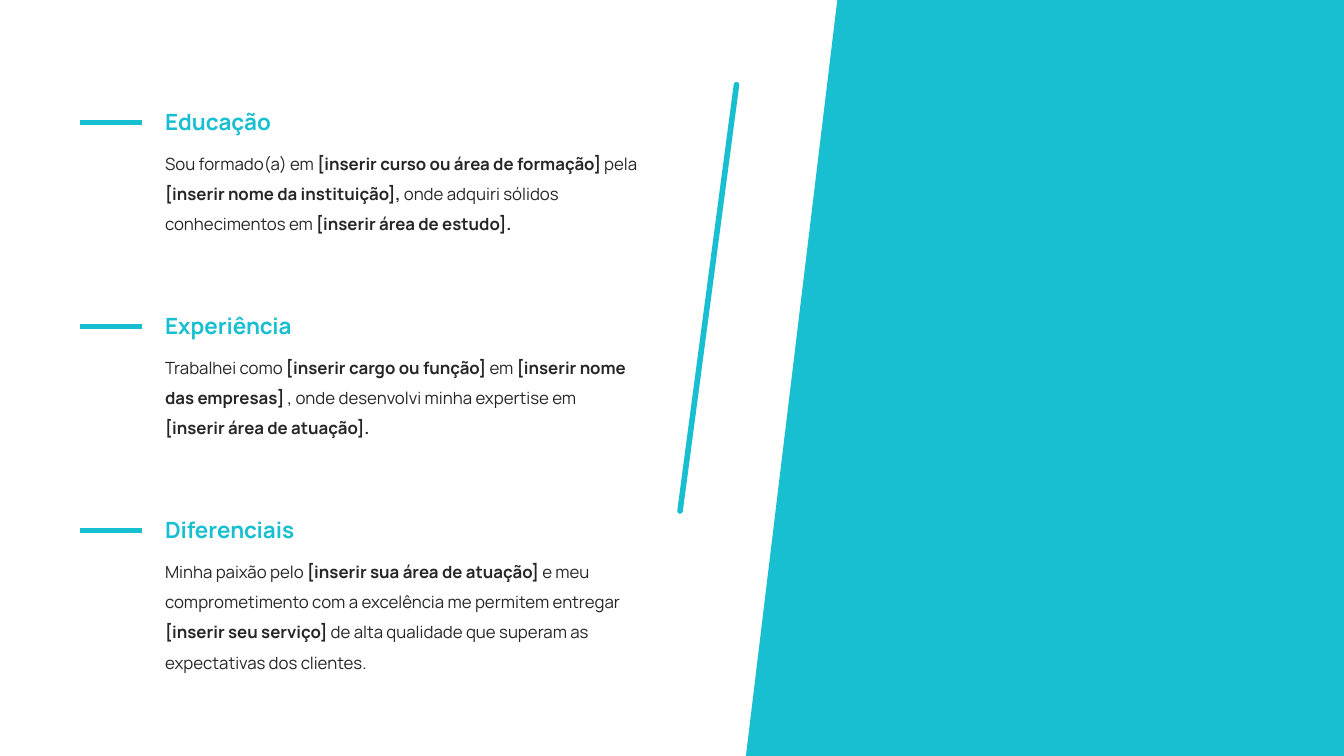
from lxml.etree import SubElement
from pptx import Presentation
from pptx.dml.color import RGBColor
from pptx.enum.shapes import MSO_CONNECTOR
from pptx.enum.text import MSO_ANCHOR, MSO_AUTO_SIZE
from pptx.oxml.ns import qn
from pptx.util import Inches, Pt

COLORS = {"teal": "18BFD1", "ink": "262626", "white": "FFFFFF"}
FORMATS = {
    "heading": {"name": "Manrope", "size": Pt(12), "bold": True},
    "body": {"name": "Manrope", "size": Pt(9), "bold": False},
    "strong": {"name": "Manrope", "size": Pt(9), "bold": True},
}
FRAMES = {
    "heading": {"word_wrap": False, "vertical_anchor": MSO_ANCHOR.MIDDLE,
                "auto_size": MSO_AUTO_SIZE.SHAPE_TO_FIT_TEXT},
    "body": {"word_wrap": True, "vertical_anchor": MSO_ANCHOR.TOP,
             "auto_size": MSO_AUTO_SIZE.SHAPE_TO_FIT_TEXT},
}

presentation = Presentation()
presentation.slide_width = Inches(10)
presentation.slide_height = presentation.slide_width * 9 // 16
slide = presentation.slides.add_slide(presentation.slide_layouts[6])
slide.background.fill.solid()
slide.background.fill.fore_color.rgb = RGBColor.from_string(COLORS["white"])
COLUMN = presentation.slide_width / 100
ROW = presentation.slide_height / 100


def add_text(style, color, column, row, columns, rows, parts):
    shape = slide.shapes.add_textbox(
        int(column * COLUMN), int(row * ROW), int(columns * COLUMN), int(rows * ROW))
    for attribute, value in FRAMES[style].items():
        setattr(shape.text_frame, attribute, value)
    paragraph = shape.text_frame.paragraphs[0]
    for index, part in enumerate(parts):
        run = paragraph.add_run()
        run.text = part
        for attribute, value in FORMATS["strong" if index % 2 else style].items():
            setattr(run.font, attribute, value)
        run.font.color.rgb = RGBColor.from_string(COLORS[color])
    return paragraph


def add_line(column, row, end_column, end_row, cap):
    connector = slide.shapes.add_connector(
        MSO_CONNECTOR.STRAIGHT, int(column * COLUMN), int(row * ROW),
        int(end_column * COLUMN), int(end_row * ROW))
    connector.line.color.rgb = RGBColor.from_string(COLORS["teal"])
    connector.line.width = Pt(3)
    connector.line._get_or_add_ln().set("cap", cap)
    SubElement(connector._element.spPr, qn("a:effectLst"))


for top_column, bottom_column in [(62.5, 55.8), (62.3, 55.5)]:
    builder = slide.shapes.build_freeform(int(top_column * COLUMN), 0)
    builder.add_line_segments([
        (int(column * COLUMN), int(row * ROW))
        for column, row in [(100, 0), (100, 100), (bottom_column, 100)]])
    panel = builder.convert_to_shape()
    panel.shadow.inherit = False
    panel.fill.solid()
    panel.fill.fore_color.rgb = RGBColor.from_string(COLORS["teal"])
    panel.line.fill.background()

sections = [
    ("Educação", 10.6, 38.4, 13.5,
     "Sou formado(a) em |[inserir curso ou área de formação] |pela |"
     "[inserir nome da instituição],| onde adquiri sólidos conhecimentos em|"
     " [inserir área de estudo]."),
    ("Experiência", 12.2, 36.3, 13.5,
     "Trabalhei como| [inserir cargo ou função] |em |[inserir nome das empresas] |"
     ", onde desenvolvi minha expertise em |[inserir área de atuação]."),
    ("Diferenciais", 12.4, 36.3, 17.6,
     "Minha paixão pelo |[inserir sua área de atuação] |"
     "e meu comprometimento com a excelência me permitem entregar |"
     "[inserir seu serviço] |de alta qualidade que superam as expectativas dos clientes."),
]
for index, (heading, heading_columns, body_columns, body_rows, body) in enumerate(sections):
    center = 16.2 + 27 * index
    add_line(5.93, center, 10.6, center, "flat")
    add_text("heading", "teal", 11.3, center - 2.8, heading_columns, 5.4, [heading])
    paragraph = add_text("body", "ink", 11.3, center + 1.85, body_columns, body_rows,
                         body.split("|"))
    paragraph.line_spacing = 1.5

add_line(50.6, 67.6, 54.8, 11.2, "rnd")

presentation.save("out.pptx")
